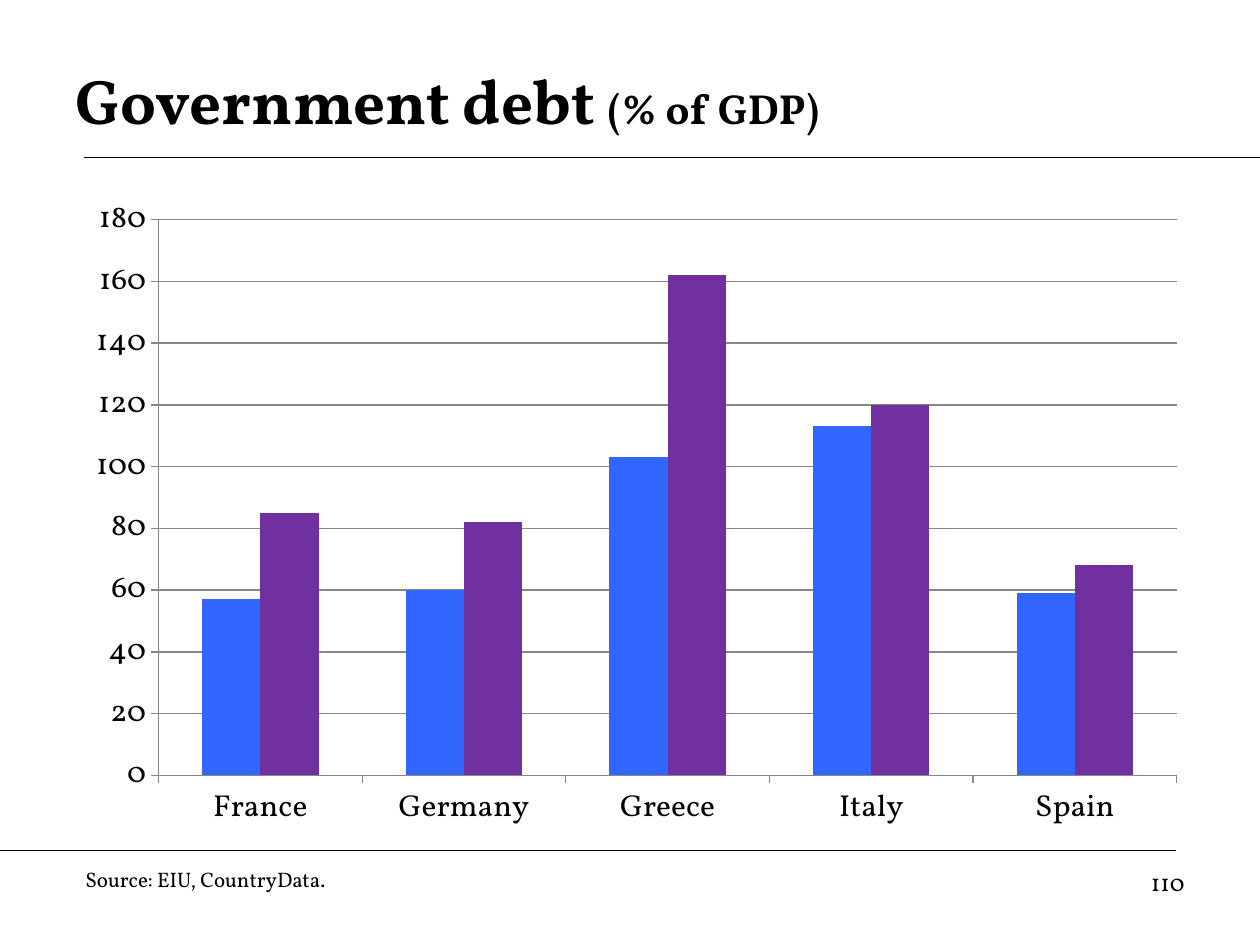
"""Build the government debt slide with a clustered column chart."""
from lxml.etree import SubElement as Sub
from pptx import Presentation
from pptx.chart.data import CategoryChartData as Data
from pptx.dml.color import RGBColor as Rgb
from pptx.enum.chart import XL_CHART_TYPE as Kind, XL_LEGEND_POSITION as Spot, XL_TICK_MARK as Tick
from pptx.enum.shapes import MSO_CONNECTOR as Link
from pptx.enum.text import MSO_ANCHOR as Anchor, PP_ALIGN as Align
from pptx.oxml import parse_xml
from pptx.oxml.ns import nsdecls, qn
from pptx.util import Inches, Pt

HUES = {"ink": "000000", "grid": "878787", "2000": "3366FF", "2011": "7030A0"}
FACE = "Vollkorn"
LANDS = ["France", "Germany", "Greece", "Italy", "Spain"]
DEBT = {"2000": [57, 60, 103, 113, 59], "2011": [85, 82, 162, 120, 68]}


def put(item, **vals):
    for key, val in vals.items():
        setattr(item, key, val)


def box(*nums):
    return [Inches(num) for num in nums]


class Deck:
    def __init__(self):
        self.show = Presentation()
        put(self.show, slide_width=Inches(10), slide_height=Inches(7.5))
        self.slide = self.show.slides.add_slide(self.show.slide_layouts[5])

    def font(self, font, size, bold=False):
        put(font, name=FACE, size=Pt(size), bold=bold)
        font.color.rgb = Rgb.from_string(HUES["ink"])

    def stroke(self, line, hue):
        line.color.rgb = Rgb.from_string(HUES[hue])
        line.width = Pt(0.75)

    def rule(self, *ends):
        line = self.slide.shapes.add_connector(Link.STRAIGHT, *box(*ends))
        self.stroke(line.line, "ink")
        Sub(line.element.spPr, qn("a:effectLst"))

    def title(self, place, runs):
        head = self.slide.shapes.title
        put(head, **dict(zip(("left", "top", "width", "height"), box(*place))))
        put(head.text_frame, vertical_anchor=Anchor.MIDDLE, word_wrap=True)
        para = head.text_frame.paragraphs[0]
        para.alignment = Align.LEFT
        for text, size in runs:
            run = para.add_run()
            run.text = text
            self.font(run.font, size, True)

    def text(self, place, text, size, align=Align.LEFT):
        frame = self.slide.shapes.add_textbox(*box(*place)).text_frame
        put(frame, word_wrap=True, text=text)
        para = frame.paragraphs[0]
        para.alignment = align
        self.font(para.runs[0].font, size)

    def chart(self, place, cats, rows):
        data = Data()
        data.categories = cats
        for name, vals in rows.items():
            data.add_series(name, vals)
        chart = self.slide.shapes.add_chart(Kind.COLUMN_CLUSTERED, *box(*place), data).chart
        put(chart, has_title=False, has_legend=True)
        self.font(chart.font, 18)
        plot = chart.plots[0]
        put(plot, gap_width=150, overlap=0, vary_by_categories=False)
        for row in plot.series:
            row.format.fill.solid()
            row.format.fill.fore_color.rgb = Rgb.from_string(HUES[row.name])
        for axis in (chart.category_axis, chart.value_axis):
            put(axis, major_tick_mark=Tick.OUTSIDE, minor_tick_mark=Tick.NONE)
            self.stroke(axis.format.line, "grid")
        put(chart.value_axis, minimum_scale=0, maximum_scale=180, major_unit=20,
            has_major_gridlines=True)
        self.stroke(chart.value_axis.major_gridlines.format.line, "grid")
        put(chart.legend, position=Spot.TOP, include_in_layout=False)
        root = chart.element
        area = root.find(".//" + qn("c:plotArea"))
        for old in area.findall(qn("c:layout")):
            area.remove(old)
        area.insert(0, self.layout(0.066, 0.044, 0.906, 0.907, True))
        key = root.find(".//" + qn("c:legend"))
        for old in key.findall(qn("c:layout")):
            key.remove(old)
        key.find(qn("c:legendPos")).addnext(self.layout(0.09, 0.05, 0.21, 0.06))

    def layout(self, left, top, wide, high, inner=False):
        node = parse_xml(f"<c:layout {nsdecls('c')}><c:manualLayout/></c:layout>")
        vals = {"layoutTarget": "inner"} if inner else {}
        vals |= {"xMode": "edge", "yMode": "edge", "x": left, "y": top, "w": wide, "h": high}
        for tag, val in vals.items():
            Sub(node[0], qn(f"c:{tag}")).set("val", str(val))
        return node


def main():
    deck = Deck()
    deck.rule(0.67, 1.25, 10, 1.25)
    deck.rule(0, 6.75, 9.33, 6.75)
    deck.title((0.5, 0.33, 9, 0.92), [("Government debt ", 36), ("(% of GDP)", 24)])
    deck.text((7.17, 6.83, 2.33, 0.52), "110", 14, Align.RIGHT)
    deck.chart((0.67, 1.53, 8.92, 5.06), LANDS, DEBT)
    deck.text((0.58, 6.83, 4.83, 0.3), "Source: EIU, CountryData.", 12)
    deck.show.save("out.pptx")


if __name__ == "__main__":
    main()
